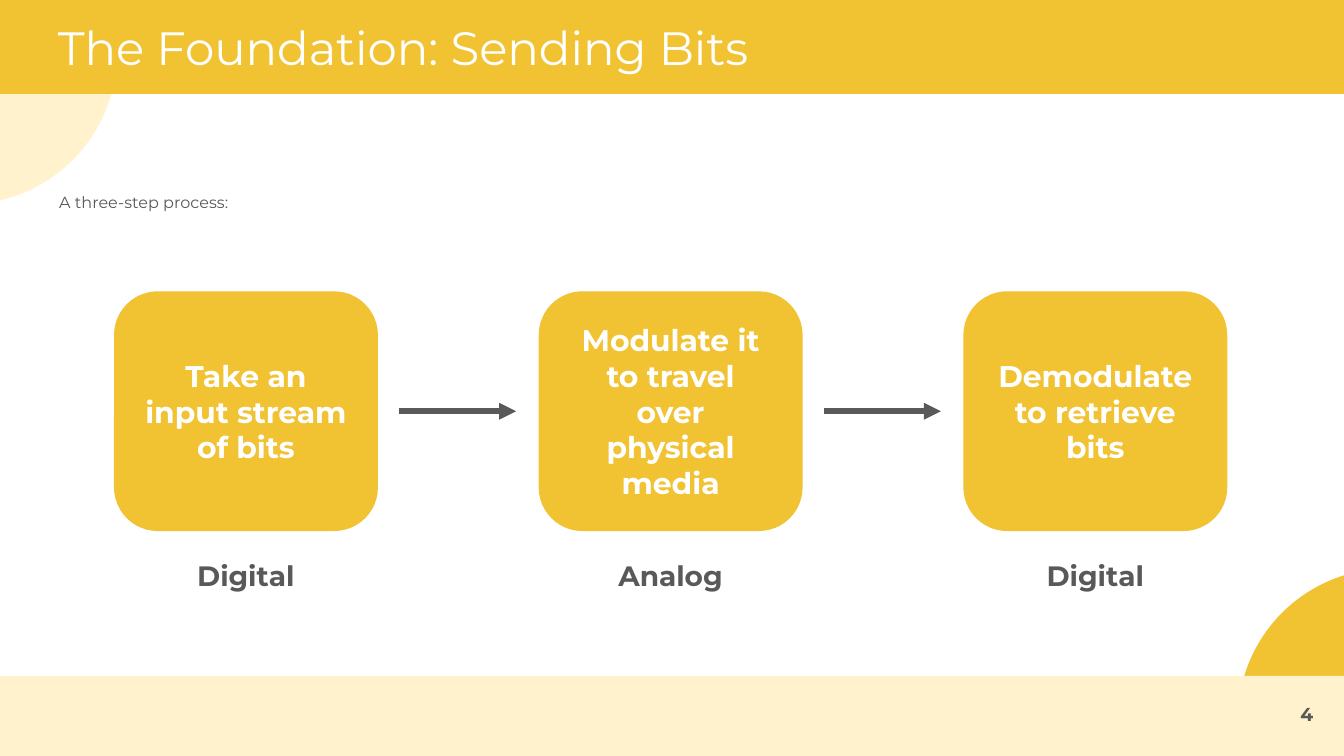
from lxml import etree
from pptx import Presentation
from pptx.dml.color import RGBColor
from pptx.enum import shapes, text
from pptx.oxml import ns
from pptx.util import Inches, Pt

HUES = {"gold": "F1C232", "cream": "FFF2CC", "white": "FFFFFF", "gray": "595959"}
FONT = "Montserrat"
KIND = shapes.MSO_SHAPE
SIDE = text.PP_ALIGN
MID = text.MSO_ANCHOR.MIDDLE
TOP = text.MSO_ANCHOR.TOP


def add_block(kind, box, hue):
    block = slide.shapes.add_shape(kind, *map(Inches, box))
    block.shadow.inherit = False
    block.fill.solid()
    block.fill.fore_color.rgb = RGBColor.from_string(HUES[hue])
    block.line.fill.background()
    return block


def write(shape, words, size, hue, bold=False, side=SIDE.LEFT, anchor=TOP):
    """Fill a shape with one formatted run and return its paragraph."""
    frame = shape.text_frame
    frame.word_wrap = True
    frame.auto_size = text.MSO_AUTO_SIZE.NONE
    frame.vertical_anchor = anchor
    frame.margin_left = frame.margin_right = Inches(0.1)
    frame.margin_top = frame.margin_bottom = Inches(0.1)
    para = frame.paragraphs[0]
    para.alignment = side
    para.space_before = Pt(0)
    run = para.add_run()
    run.text = words
    font = run.font
    font.name, font.size, font.bold = FONT, Pt(size), bold
    font.color.rgb = RGBColor.from_string(HUES[hue])
    return para


# A 16:9 slide
deck = Presentation()
deck.slide_width = Inches(10)
deck.slide_height = Inches(10 * 9 / 16)
slide = deck.slides.add_slide(deck.slide_layouts[1])
title, body = slide.placeholders

# Background bands and circles, placed behind the title
decor = [
    (KIND.OVAL, (9.21, 4.23, 2.25, 2.25), "gold"),
    (KIND.RECTANGLE, (0, 5.03, 10, 0.6), "cream"),
    (KIND.OVAL, (-1.38, -0.73, 2.25, 2.25), "cream"),
    (KIND.RECTANGLE, (0, 0, 10, 0.7), "gold"),
]
for kind, box, hue in decor:
    title.element.addprevious(add_block(kind, box, hue).element)

# Title and lead-in
title.left, title.top, title.width, title.height = map(Inches, (0.33, 0.04, 9.32, 0.63))
write(title, "The Foundation: Sending Bits", 25, "white")

body.left, body.top, body.width, body.height = map(Inches, (0.34, 1.34, 9.32, 0.52))
para = write(body, "A three-step process:", 8.6, "gray")
para.line_spacing = 0.95
para.space_after = Pt(12)
props = para._p.get_or_add_pPr()
props.set("marL", "0")
props.set("indent", "0")
etree.SubElement(props, ns.qn("a:buNone"))

# Steps with their signal type, joined by arrows
steps = [
    ("Take an input stream of bits", "Digital"),
    ("Modulate it to travel over physical media", "Analog"),
    ("Demodulate to retrieve bits", "Digital"),
]
left, pitch = 0.89, 3.16
for i, (step, signal) in enumerate(steps):
    x = left + i * pitch
    card = add_block(KIND.ROUNDED_RECTANGLE, (x, 2.21, 1.88, 1.7), "gold")
    card.line.color.rgb = RGBColor.from_string(HUES["gold"])
    card.line.width = Pt(6)
    write(card, step, 16, "white", True, SIDE.CENTER, MID)

    label = slide.shapes.add_textbox(*map(Inches, (x + 0.06, 4.02, 1.76, 0.45)))
    para = write(label, signal, 15, "gray", True, SIDE.CENTER)
    para.line_spacing = 1.15
    para.space_after = Pt(12)
    label.text_frame.auto_size = text.MSO_AUTO_SIZE.SHAPE_TO_FIT_TEXT

for i in range(len(steps) - 1):
    x = left + i * pitch
    arrow = slide.shapes.add_connector(
        shapes.MSO_CONNECTOR.STRAIGHT, *map(Inches, (x + 2.08, 3.06, x + 2.95, 3.06))
    )
    arrow.line.color.rgb = RGBColor.from_string(HUES["gray"])
    arrow.line.width = Pt(3)
    etree.SubElement(arrow.line._get_or_add_ln(), ns.qn("a:tailEnd"), type="triangle")
    etree.SubElement(arrow.element.spPr, ns.qn("a:effectLst"))

number = slide.shapes.add_textbox(*map(Inches, (9.27, 5.1, 0.6, 0.43)))
write(number, "4", 10, "gray", True, SIDE.RIGHT, MID)

deck.save("out.pptx")
